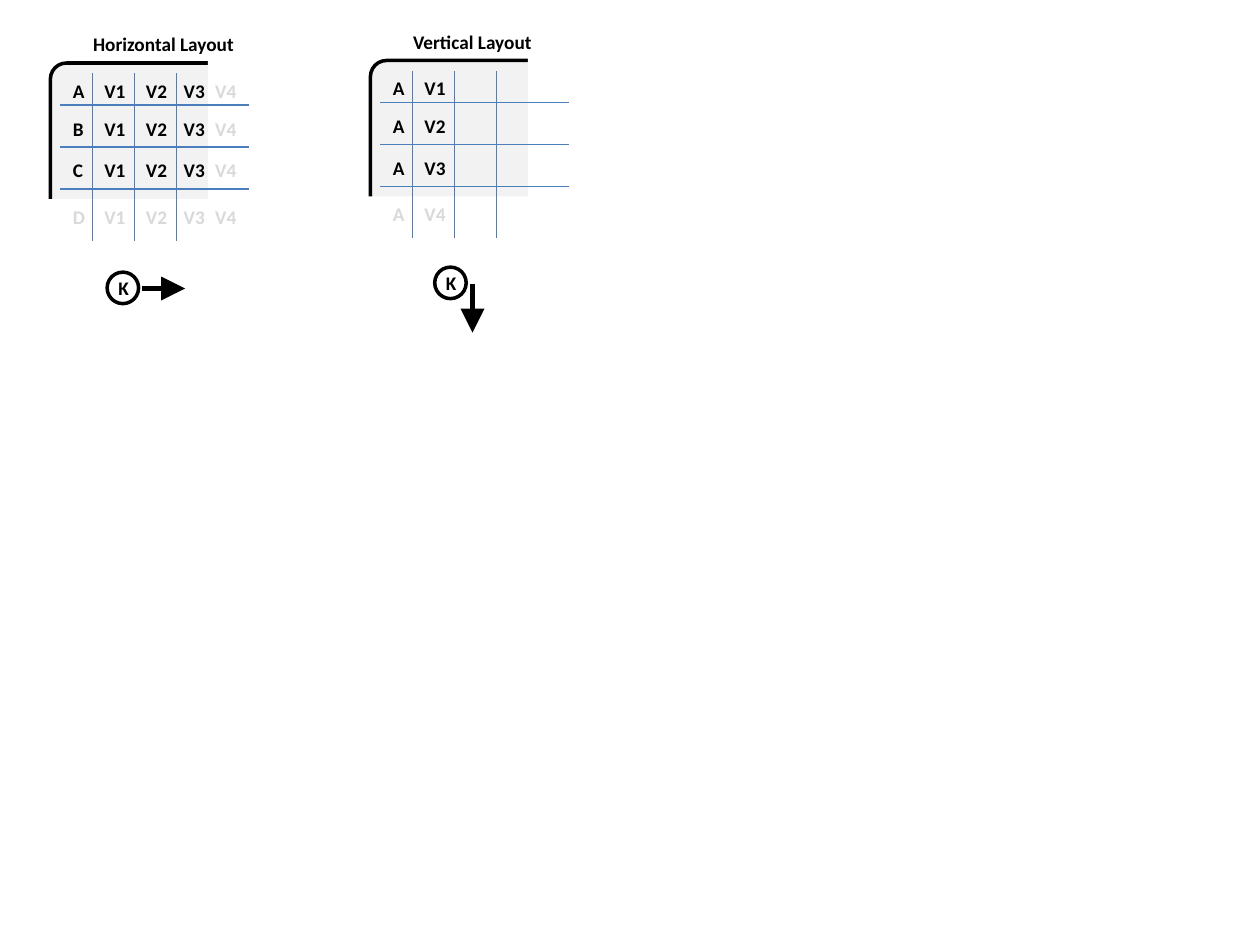
from dataclasses import dataclass

from lxml import etree
from pptx import Presentation
from pptx.dml.color import RGBColor
from pptx.enum import shapes, text
from pptx.oxml import ns
from pptx.shapes.autoshape import Shape
from pptx.shapes.connector import Connector
from pptx.shapes.shapetree import GroupShapes
from pptx.util import Inches, Pt


@dataclass(frozen=True)
class Theme:
    font: str = "Calibri"
    size: float = 11
    ink: str = "000000"
    faded: str = "D9D9D9"
    panel: str = "F2F2F2"
    cover: str = "FFFFFF"
    grid: str = "4B7EBC"
    grid_width: float = 0.75
    outline_width: float = 2
    arrow_width: float = 2.75


@dataclass(frozen=True)
class Panel:
    x: float
    y: float
    title: str
    title_width: float
    rows: tuple[str, ...]


@dataclass(frozen=True)
class Key:
    x: float
    y: float
    start: tuple[float, float]
    end: tuple[float, float]


THEME = Theme()
MST = shapes.MSO_SHAPE
COLUMN_X = (0.08, 0.33, 0.66, 0.96, 1.21)
ROW_Y = (0.08, 0.38, 0.71, 1.08)
VISIBLE_COLUMNS, VISIBLE_ROWS = 4, 3
GRID_START, GRID_STEP, GRID_LINES = 0.08, 1 / 3, 3
GRID_WIDTH, GRID_HEIGHT = 1.5, 1.33
TEXT_HEIGHT, LETTER_WIDTH, VALUE_WIDTH = 0.29, 0.29, 0.37
CIRCLE = 0.25

PANELS = (
    Panel(0.4, 0.5, "Horizontal Layout", 1.34,
          ("A V1 V2 V3 V4", "B V1 V2 V3 V4", "C V1 V2 V3 V4", "D V1 V2 V3 V4")),
    Panel(2.94, 0.48, "Vertical Layout", 1.16, ("A V1", "A V2", "A V3", "A V4")),
)
KEYS = (
    Key(0.85, 2.16, (0.28, 0.13), (0.62, 0.13)),
    Key(3.45, 2.12, (0.3, 0.13), (0.3, 0.52)),
)


def add_box(tree: GroupShapes, kind: MST, x: float, y: float, w: float, h: float,
            fill: str | None = None, line: str | None = None) -> Shape:
    sp = tree.add_shape(kind, Inches(x), Inches(y), Inches(w), Inches(h))
    sp.shadow.inherit = False
    if fill:
        sp.fill.solid()
        sp.fill.fore_color.rgb = RGBColor.from_string(fill)
    else:
        sp.fill.background()
    if line:
        sp.line.color.rgb = RGBColor.from_string(line)
        sp.line.width = Pt(THEME.outline_width)
    else:
        sp.line.fill.background()
    return sp


def add_line(tree: GroupShapes, x1: float, y1: float, x2: float, y2: float,
             color: str, width: float) -> Connector:
    cxn = tree.add_connector(shapes.MSO_CONNECTOR.STRAIGHT,
                             Inches(x1), Inches(y1), Inches(x2), Inches(y2))
    cxn.line.color.rgb = RGBColor.from_string(color)
    cxn.line.width = Pt(width)
    etree.SubElement(cxn._element.spPr, ns.qn("a:effectLst"))
    return cxn


def add_label(tree: GroupShapes, label: str, x: float, y: float, w: float,
              color: str = THEME.ink) -> None:
    tf = tree.add_textbox(Inches(x), Inches(y), Inches(w), Inches(TEXT_HEIGHT)).text_frame
    tf.word_wrap = False
    tf.auto_size = text.MSO_AUTO_SIZE.SHAPE_TO_FIT_TEXT
    r = tf.paragraphs[0].add_run()
    r.text = label
    r.font.name = THEME.font
    r.font.size = Pt(THEME.size)
    r.font.bold = True
    r.font.color.rgb = RGBColor.from_string(color)


def draw_panel(tree: GroupShapes, panel: Panel) -> None:
    x, y = panel.x, panel.y
    body = add_box(tree, MST.ROUNDED_RECTANGLE, x, y, 1.83, 1.92, THEME.panel, THEME.ink)
    body.adjustments[0] = 0.07
    add_box(tree, MST.RECTANGLE, x + 1.25, y - 0.25, 1.5, 2.17, THEME.cover)
    add_box(tree, MST.RECTANGLE, x - 0.17, y + 1.08, 2.33, 1, THEME.cover)

    left, top = x + GRID_START, y + GRID_START
    for i in range(1, GRID_LINES + 1):
        row_y, column_x = y + i * GRID_STEP, x + i * GRID_STEP
        add_line(tree, left, row_y, left + GRID_WIDTH, row_y, THEME.grid, THEME.grid_width)
        add_line(tree, column_x, top, column_x, top + GRID_HEIGHT, THEME.grid, THEME.grid_width)

    for row, (values, dy) in enumerate(zip(panel.rows, ROW_Y)):
        for column, (value, dx) in enumerate(zip(values.split(), COLUMN_X)):
            visible = row < VISIBLE_ROWS and column < VISIBLE_COLUMNS
            add_label(tree, value, x + dx, y + dy,
                      VALUE_WIDTH if column else LETTER_WIDTH,
                      THEME.ink if visible else THEME.faded)
    add_label(tree, panel.title, x + 0.24, y - 0.29, panel.title_width)


def draw_key(tree: GroupShapes, key: Key) -> None:
    add_box(tree, MST.OVAL, key.x, key.y, CIRCLE, CIRCLE, line=THEME.ink)
    add_label(tree, "K", key.x - 0.01, key.y - 0.02, LETTER_WIDTH)
    (x1, y1), (x2, y2) = key.start, key.end
    arrow = add_line(tree, key.x + x1, key.y + y1, key.x + x2, key.y + y2,
                     THEME.ink, THEME.arrow_width)
    etree.SubElement(arrow.line._get_or_add_ln(), ns.qn("a:tailEnd"),
                     type="triangle", w="lg", len="lg")


def main() -> None:
    prs = Presentation()
    prs.slide_width, prs.slide_height = Inches(10), Inches(7.5)
    s = prs.slides.add_slide(prs.slide_layouts[6])
    for panel in PANELS:
        draw_panel(s.shapes.add_group_shape().shapes, panel)
    for key in KEYS:
        draw_key(s.shapes.add_group_shape().shapes, key)
    prs.save("out.pptx")


if __name__ == "__main__":
    main()
